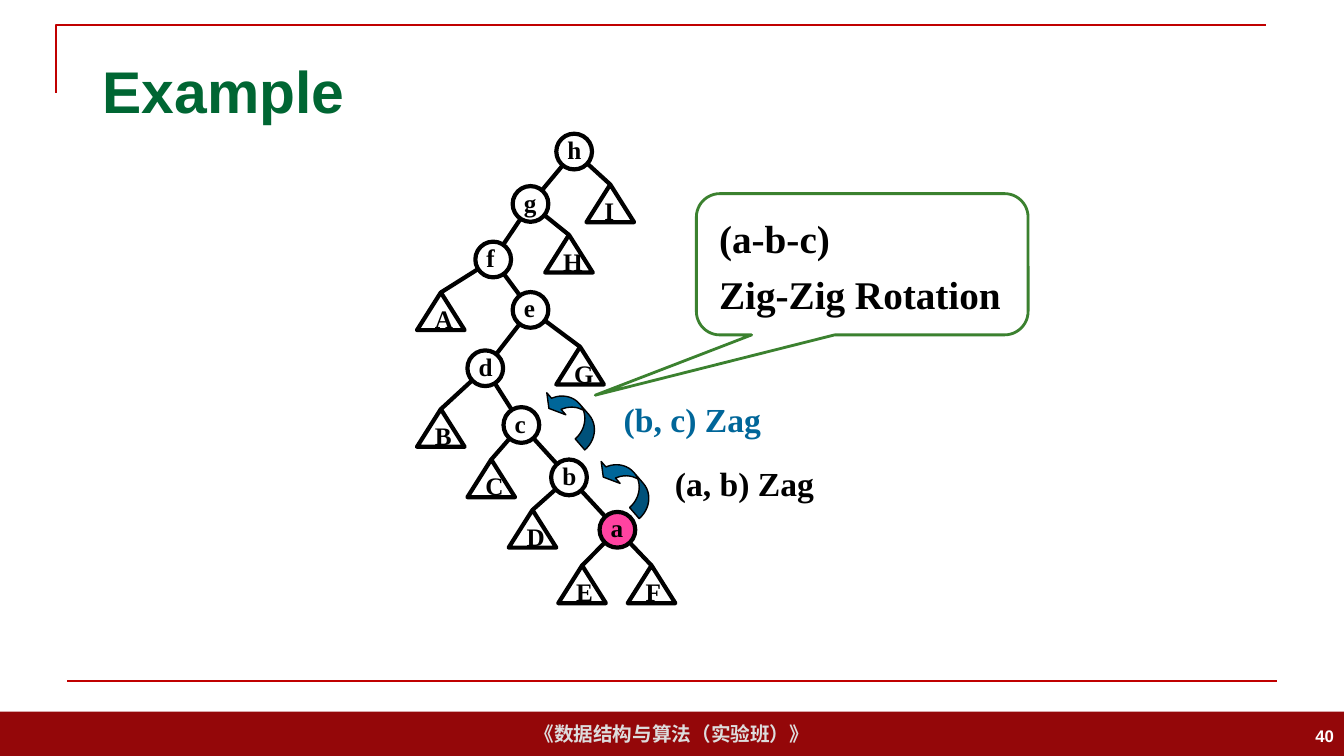
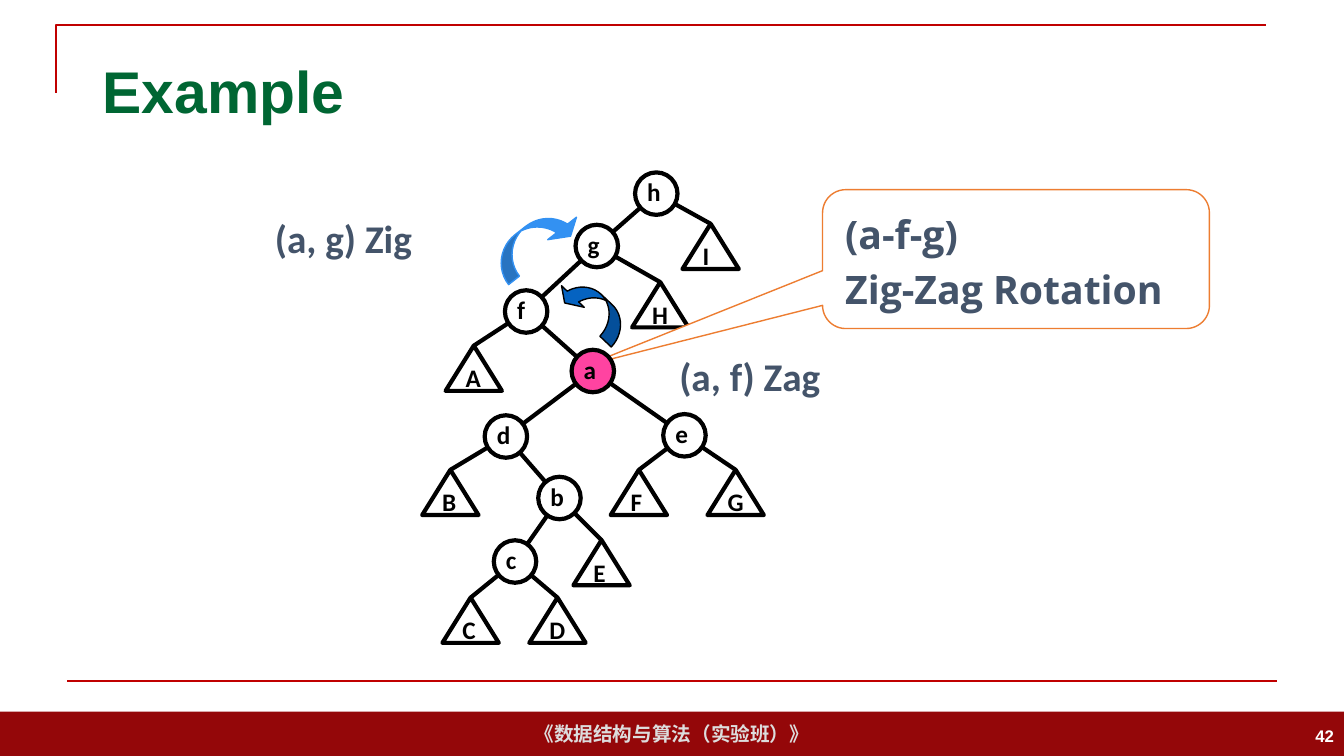
from lxml.etree import SubElement
from pptx import Presentation
from pptx.dml.color import RGBColor
from pptx.enum.shapes import MSO_CONNECTOR as Link, MSO_SHAPE as Shape
from pptx.enum.text import MSO_ANCHOR as Anchor, PP_ALIGN as Align
from pptx.oxml.ns import qn
from pptx.util import Cm, Pt

SLIDE_W, SLIDE_H = 33.87, 19.05
BLACK, WHITE = "000000", "FFFFFF"
BAND_RED, RULE_RED, TITLE_GREEN = "940709", "C00000", "006633"
FOOTER_GREY, TEAL, SLATE, BLUE, LIGHT_BLUE = "DDDDDD", "006699", "44546A", "0563C1", "3391F2"
PINK, CALLOUT_GREEN, CALLOUT_ORANGE = "FF43A1", "3B812F", "ED7D31"
SERIF, SANS = "Times New Roman", "Calibri"


def rgb(colour):
    return RGBColor.from_string(colour)


def lengths(box):
    return [Cm(value) for value in box]


def paint(shape, fill=None, line=None, width=1.0):
    shape.shadow.inherit = False
    if fill:
        shape.fill.solid()
        shape.fill.fore_color.rgb = rgb(fill)
    else:
        shape.fill.background()
    if line:
        shape.line.color.rgb = rgb(line)
        shape.line.width = Pt(width)
    else:
        shape.line.fill.background()


def write(shape, *lines, font="Arial", size=18, colour=BLACK, align=Align.LEFT,
          anchor=Anchor.TOP, wrap=True, insets=(0.25, 0.13, 0.25, 0.13), before=0):
    """Fill a shape with one bold paragraph per line; insets in cm."""
    frame = shape.text_frame
    frame.word_wrap, frame.vertical_anchor = wrap, anchor
    (frame.margin_left, frame.margin_top,
     frame.margin_right, frame.margin_bottom) = lengths(insets)
    for index, line in enumerate(lines):
        paragraph = frame.paragraphs[0] if index == 0 else frame.add_paragraph()
        paragraph.alignment, paragraph.space_before = align, Pt(before)
        run = paragraph.add_run()
        run.text = line
        run.font.name, run.font.size, run.font.bold = font, Pt(size), True
        run.font.color.rgb = rgb(colour)


def draw_line(slide, start, end, colour=BLACK, width=3.0):
    line = slide.shapes.add_connector(Link.STRAIGHT, *lengths((*start, *end)))
    line.line.color.rgb = rgb(colour)
    line.line.width = Pt(width)
    SubElement(line.element.spPr, qn("a:effectLst"))
    return line


def draw_label(slide, text, box, **style):
    write(slide.shapes.add_textbox(*lengths(box)), text, **style)


# Shared frame: footer band, corner rule and bottom rule, kept on the layout
def furnish_layout(layout, slide):
    title = layout.placeholders[0]
    title.left, title.top, title.width, title.height = lengths((2.34, 1.02, 29.21, 2.51))

    band = slide.shapes.add_shape(
        Shape.RECTANGLE, *lengths((0, 17.93, SLIDE_W, SLIDE_H - 17.93)))
    paint(band, fill=BAND_RED)
    write(band, "《数据结构与算法（实验班）》", size=14, colour=FOOTER_GREY,
          align=Align.CENTER, anchor=Anchor.MIDDLE, wrap=False)

    outline = slide.shapes.build_freeform(Cm(1.42), Cm(2.34))
    outline.add_line_segments([lengths((1.42, 0.64)), lengths((31.9, 0.64))], close=False)
    corner = outline.convert_to_shape()
    paint(corner, line=RULE_RED, width=1.5)

    rule = draw_line(slide, (1.7, 17.15), (32.18, 17.15), colour=RULE_RED, width=1.5)
    for part in (band, corner, rule):
        layout.shapes.element.append(part.element)


def head_slide(slide, number):
    write(slide.shapes.title, "Example", size=42, colour=TITLE_GREEN, anchor=Anchor.MIDDLE)
    draw_label(slide, number, (26.25, 18.03, 7.62, 1.02), size=12, colour=WHITE,
               align=Align.RIGHT, anchor=Anchor.MIDDLE)


# Tree: lower-case names are nodes (centres), capitals are subtrees (apexes)
def place_tree(tree):
    left, top = tree["origin"]
    return {name: (left + x, top + y) for name, (x, y) in tree["points"].items()}


def draw_mark(slide, kind, name, box, font, fill=None):
    mark = slide.shapes.add_shape(kind, *lengths(box))
    paint(mark, fill=fill, line=BLACK, width=3)
    write(mark, name, font=font, anchor=Anchor.MIDDLE, wrap=False,
          insets=(0.15, 0.03, 0.25, 0.13))


def draw_branches(slide, tree):
    points = place_tree(tree)
    for parent, children in tree["children"].items():
        for child in children:
            draw_line(slide, points[parent], points[child])
    width, height = tree["subtree"]
    for name, (x, y) in points.items():
        if name.isupper():
            draw_mark(slide, Shape.ISOSCELES_TRIANGLE, name,
                      (x - width / 2, y, width, height), tree["font"])


def draw_nodes(slide, tree):
    size = tree["node"]
    for name, (x, y) in place_tree(tree).items():
        if name.islower():
            draw_mark(slide, Shape.OVAL, name, (x - size / 2, y - size / 2, size, size),
                      tree["font"], fill=PINK if name == "a" else WHITE)


# Annotations: callout and rotation arrows
def draw_callout(slide, lines, box, tip, line, width, **style):
    left, top, wide, high = box
    callout = slide.shapes.add_shape(Shape.ROUNDED_RECTANGULAR_CALLOUT, *lengths(box))
    callout.adjustments[0] = (tip[0] - left) / wide - 0.5
    callout.adjustments[1] = (tip[1] - top) / high - 0.5
    paint(callout, fill=WHITE, line=line, width=width)
    write(callout, *lines, size=28, before=6, insets=(0.4, 0.35, 0, 0), **style)


def draw_turn(slide, box, angle, fill, kind=Shape.CURVED_UP_ARROW,
              shape=(0.56, 1.11, 0.33), line=BLACK, flipped=False):
    turn = slide.shapes.add_shape(kind, *lengths(box))
    for index, value in enumerate(shape):
        turn.adjustments[index] = value
    turn.rotation = angle
    if flipped:
        turn.element.spPr.xfrm.set("flipH", "1")
        turn.element.spPr.xfrm.set("flipV", "1")
    paint(turn, fill=fill, line=line)


ZIG_ZIG_TREE = {
    "origin": (10.5, 3.4), "node": 0.9, "subtree": (1.2, 0.95), "font": SERIF,
    "children": {"h": "gI", "g": "fH", "f": "Ae", "e": "dG",
                 "d": "Bc", "c": "Cb", "b": "Da", "a": "EF"},
    "points": {
        "h": (3.97, 0.42), "g": (2.87, 1.74), "f": (1.93, 3.14), "e": (2.87, 4.41),
        "d": (1.73, 5.88), "c": (2.64, 7.31), "b": (3.84, 8.63), "a": (5.06, 9.95),
        "I": (4.88, 1.25), "H": (3.84, 2.52), "A": (0.61, 3.97), "G": (4.12, 5.34),
        "B": (0.61, 6.91), "C": (1.88, 8.18), "D": (2.92, 9.45),
        "E": (4.17, 10.85), "F": (5.92, 10.85)},
}
ZIG_ZAG_TREE = {
    "origin": (10.6, 4.3), "node": 1.07, "subtree": (1.42, 1.14), "font": SANS,
    "children": {"h": "gI", "g": "fH", "f": "Aa", "a": "de",
                 "d": "Bb", "e": "FG", "b": "cE", "c": "CD"},
    "points": {
        "h": (5.94, 0.58), "g": (4.44, 1.9), "f": (2.66, 3.55), "a": (4.34, 5.05),
        "d": (2.15, 6.7), "e": (6.65, 6.67), "b": (3.5, 8.25), "c": (2.38, 9.85),
        "I": (7.31, 1.34), "H": (6.04, 2.81), "A": (1.34, 4.41), "B": (0.75, 7.54),
        "F": (5.5, 7.54), "G": (7.94, 7.54), "E": (4.56, 9.31),
        "C": (1.26, 10.76), "D": (3.45, 10.76)},
}


def build_zig_zig(slide):
    head_slide(slide, "40")
    draw_branches(slide, ZIG_ZIG_TREE)
    draw_callout(slide, ("(a-b-c)", "Zig-Zig Rotation"), (17.55, 4.88, 8.36, 3.56),
                 (15, 9.96), CALLOUT_GREEN, 2, font=SERIF)
    rotations = (("(b, c) Zag", TEAL, (15.47, 9.93), (13.54, 10.13)),
                 ("(a, b) Zag", BLACK, (16.76, 11.53), (14.91, 11.86)))
    for text, colour, label_at, turn_at in rotations:
        draw_label(slide, text, (*label_at, 5, 1.3), font=SERIF, size=24, colour=colour)
        draw_turn(slide, (*turn_at, 1.75, 0.66), 229.2, TEAL)
    draw_nodes(slide, ZIG_ZIG_TREE)


def build_zig_zag(slide):
    head_slide(slide, "42")
    draw_branches(slide, ZIG_ZAG_TREE)
    draw_callout(slide, ("(a-f-g)", "Zig-Zag Rotation"), (20.73, 4.78, 9.75, 3.5),
                 (14.8, 9.2), CALLOUT_ORANGE, 1, font="Open Sans", colour=SLATE)
    for text, label_at in (("(a, g) Zig", (6.68, 5.26)), ("(a, f) Zag", (16.87, 8.74))):
        draw_label(slide, text, (*label_at, 5.59, 1.45), font=SANS, size=28, colour=SLATE)
    draw_turn(slide, (13.94, 7.37, 2.01, 0.79), 223.4, BLUE, shape=(0.5, 1, 0.33))
    draw_turn(slide, (13.06, 4.85, 0.89, 2.44), 52, LIGHT_BLUE, Shape.CURVED_LEFT_ARROW,
              shape=(0.39, 1.03, 0.32), line=LIGHT_BLUE, flipped=True)
    draw_nodes(slide, ZIG_ZAG_TREE)


def main():
    deck = Presentation()
    deck.slide_width, deck.slide_height = Cm(SLIDE_W), Cm(SLIDE_H)
    layout = deck.slide_layouts[5]
    zig_zig, zig_zag = (deck.slides.add_slide(layout) for _ in range(2))
    furnish_layout(layout, zig_zig)
    build_zig_zig(zig_zig)
    build_zig_zag(zig_zag)
    deck.save("out.pptx")


if __name__ == "__main__":
    main()
